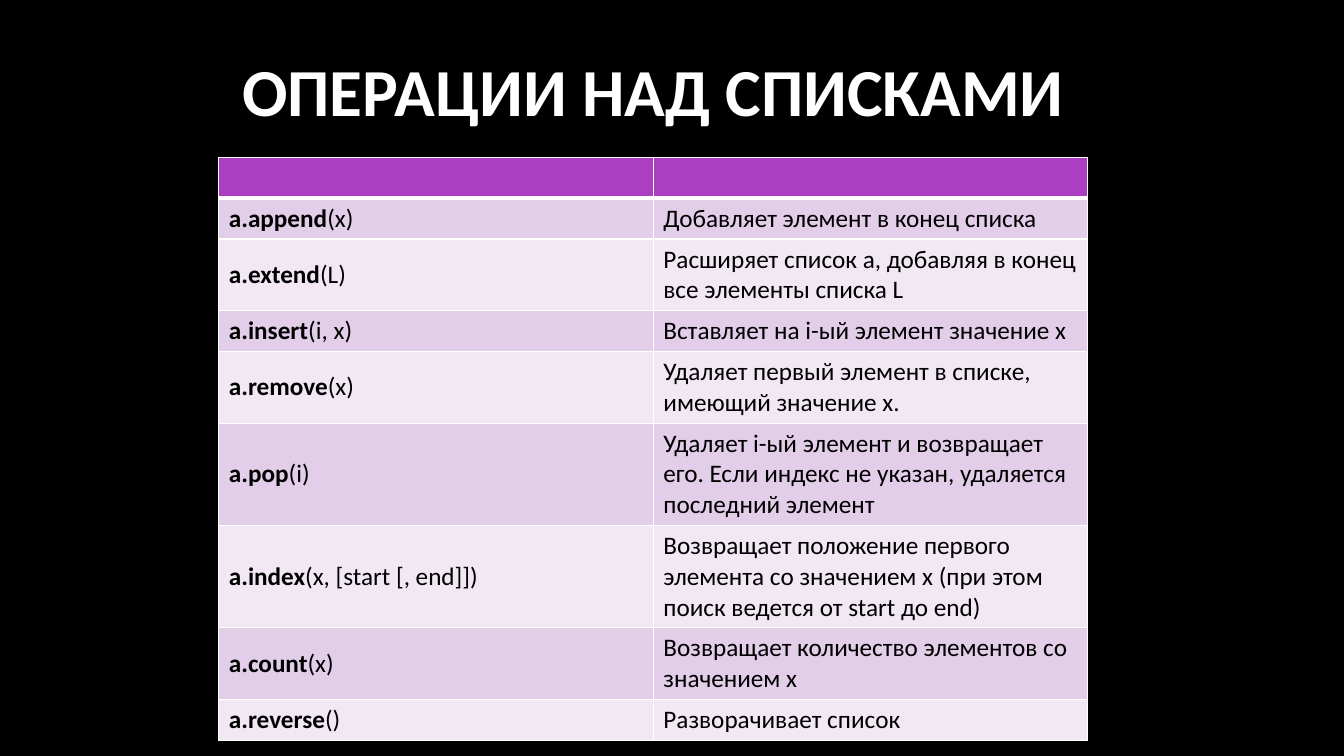
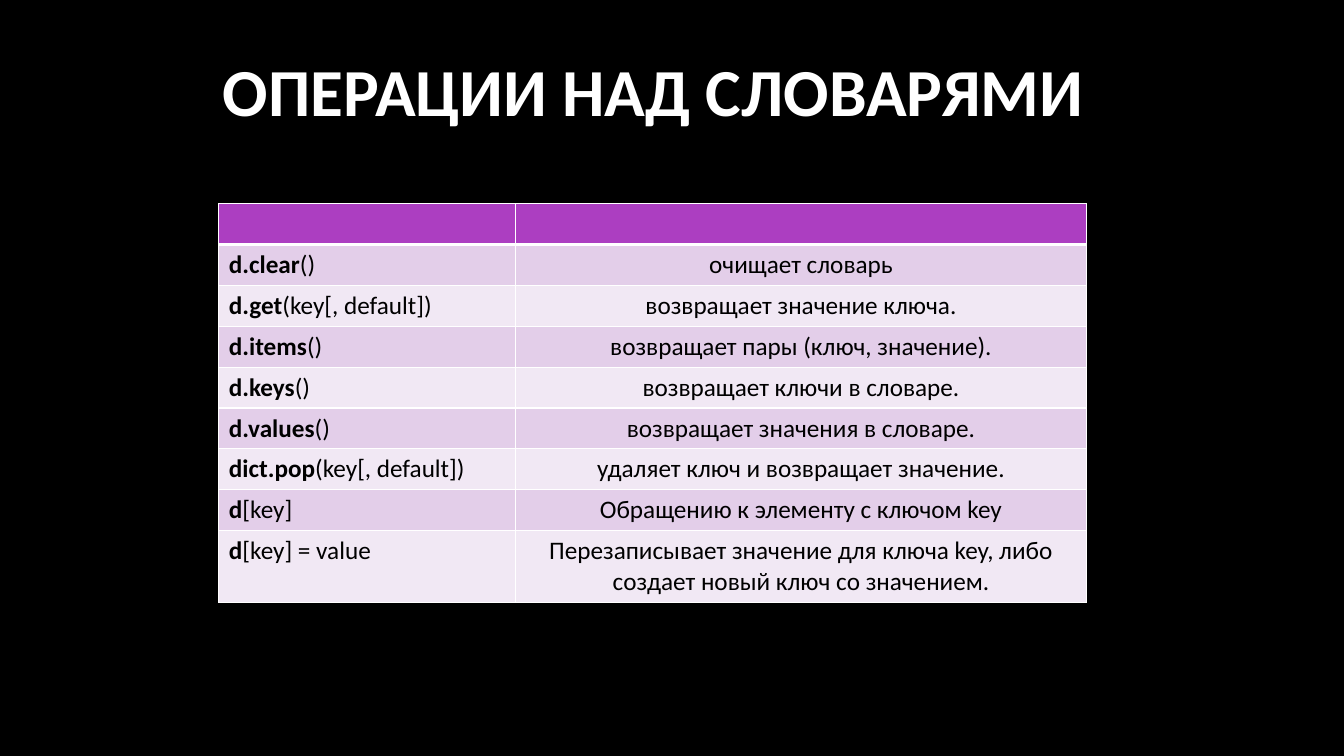
import pptx
import pptx.dml.color
import pptx.enum.text
import pptx.oxml.ns
import pptx.util
from lxml import etree

Inches = pptx.util.Inches
Pt = pptx.util.Pt
ALIGN = pptx.enum.text.PP_ALIGN
ANCHOR = pptx.enum.text.MSO_ANCHOR

COLORS = {
    "background": "000000",
    "title": "FFFFFF",
    "border": "FFFFFF",
    "text": "000000",
    "header": "AC3EC1",
    "odd": "E3CEE9",
    "even": "F1E8F4",
}
FONT = "Calibri"
TABLE_LEFT = 2.17
LINE_HEIGHT = 0.3
CELL_PADDING = 0.1

PAGES = [
    {
        "title": "ОПЕРАЦИИ НАД СПИСКАМИ",
        "top": 1.56,
        "columns": (4.31, 4.31),
        "anchor": ANCHOR.MIDDLE,
        "align": ALIGN.LEFT,
        "rows": [
            ("a.append", "(x)", "Добавляет элемент в конец списка", 1),
            ("a.extend", "(L)", "Расширяет список a, добавляя в конец все элементы списка L", 2),
            ("a.insert", "(i, x)", "Вставляет на i-ый элемент значение x", 1),
            ("a.remove", "(x)", "Удаляет первый элемент в списке, имеющий значение x.", 2),
            ("a.pop", "(i)", "Удаляет i-ый элемент и возвращает его. "
             "Если индекс не указан, удаляется последний элемент", 3),
            ("a.index", "(x, [start [, end]])", "Возвращает положение первого элемента "
             "со значением x (при этом поиск ведется от start до end)", 3),
            ("a.count", "(x)", "Возвращает количество элементов со значением x", 2),
            ("a.reverse", "()", "Разворачивает список", 1),
        ],
    },
    {
        "title": "ОПЕРАЦИИ НАД СЛОВАРЯМИ",
        "top": 2.02,
        "columns": (2.94, 5.67),
        "anchor": ANCHOR.TOP,
        "align": ALIGN.CENTER,
        "rows": [
            ("d.clear", "()", "очищает словарь", 1),
            ("d.get", "(key[, default])", "возвращает значение ключа.", 1),
            ("d.items", "()", "возвращает пары (ключ, значение).", 1),
            ("d.keys", "()", "возвращает ключи в словаре.", 1),
            ("d.values", "()", "возвращает значения в словаре.", 1),
            ("dict.pop", "(key[, default])", "удаляет ключ и возвращает значение.", 1),
            ("d", "[key]", "Обращению к элементу с ключом key", 1),
            ("d", "[key] = value", "Перезаписывает значение для ключа key, "
             "либо создает новый ключ со значением.", 2),
        ],
    },
]


def rgb(name):
    return pptx.dml.color.RGBColor.from_string(COLORS[name])


def style_font(font, size, color):
    font.name = FONT
    font.size = Pt(size)
    font.color.rgb = rgb(color)


def style_cell(cell, fill, top, bottom, anchor):
    properties = cell._tc.get_or_add_tcPr()
    for side, width in (("L", 1), ("R", 1), ("T", top), ("B", bottom)):
        line = etree.SubElement(properties, pptx.oxml.ns.qn(f"a:ln{side}"), w=str(Pt(width)))
        solid = etree.SubElement(line, pptx.oxml.ns.qn("a:solidFill"))
        etree.SubElement(solid, pptx.oxml.ns.qn("a:srgbClr"), val=COLORS["border"])
    cell.fill.solid()
    cell.fill.fore_color.rgb = rgb(fill)
    cell.vertical_anchor = anchor


def write_cell(cell, spans, align):
    para = cell.text_frame.paragraphs[0]
    para.alignment = align
    style_font(para.font, 18, "text")
    for text, bold in spans:
        span = para.add_run()
        span.text = text
        span.font.bold = bold


def add_operations(page, content):
    rows = content["rows"]
    heights = [CELL_PADDING + LINE_HEIGHT * lines for lines in [1] + [row[3] for row in rows]]
    frame = page.shapes.add_table(
        len(heights), len(content["columns"]), Inches(TABLE_LEFT), Inches(content["top"]),
        Inches(sum(content["columns"])), Inches(sum(heights)))
    table = frame.table
    for column, width in zip(table.columns, content["columns"]):
        column.width = Inches(width)
    for index, height in enumerate(heights):
        table.rows[index].height = Inches(height)
        fill = "header" if index == 0 else "odd" if index % 2 else "even"
        for cell in table.rows[index].cells:
            style_cell(cell, fill, 3 if index == 1 else 1, 3 if index == 0 else 1,
                       content["anchor"])
    for index, (name, arguments, description, lines) in enumerate(rows, 1):
        write_cell(table.cell(index, 0), [(name, True), (arguments, False)], ALIGN.LEFT)
        write_cell(table.cell(index, 1), [(description, False)], content["align"])


def add_page(deck, layout, content):
    page = deck.slides.add_slide(layout)
    title = page.shapes.title
    title.text_frame.text = content["title"]
    para = title.text_frame.paragraphs[0]
    para.alignment = ALIGN.CENTER
    style_font(para.font, 48, "title")
    para.font.bold = True
    add_operations(page, content)


def main():
    deck = pptx.Presentation()
    deck.slide_width, deck.slide_height = Inches(13.33), Inches(7.5)
    background = deck.slide_master.background.fill
    background.solid()
    background.fore_color.rgb = rgb("background")
    layout = deck.slide_layouts.get_by_name("Title Only")
    heading = layout.placeholders[0]
    heading.left, heading.top = Inches(0.94), Inches(0.09)
    heading.width, heading.height = Inches(11.08), Inches(1.59)
    heading.text_frame.vertical_anchor = ANCHOR.MIDDLE
    for content in PAGES:
        add_page(deck, layout, content)
    deck.save("out.pptx")


if __name__ == "__main__":
    main()
